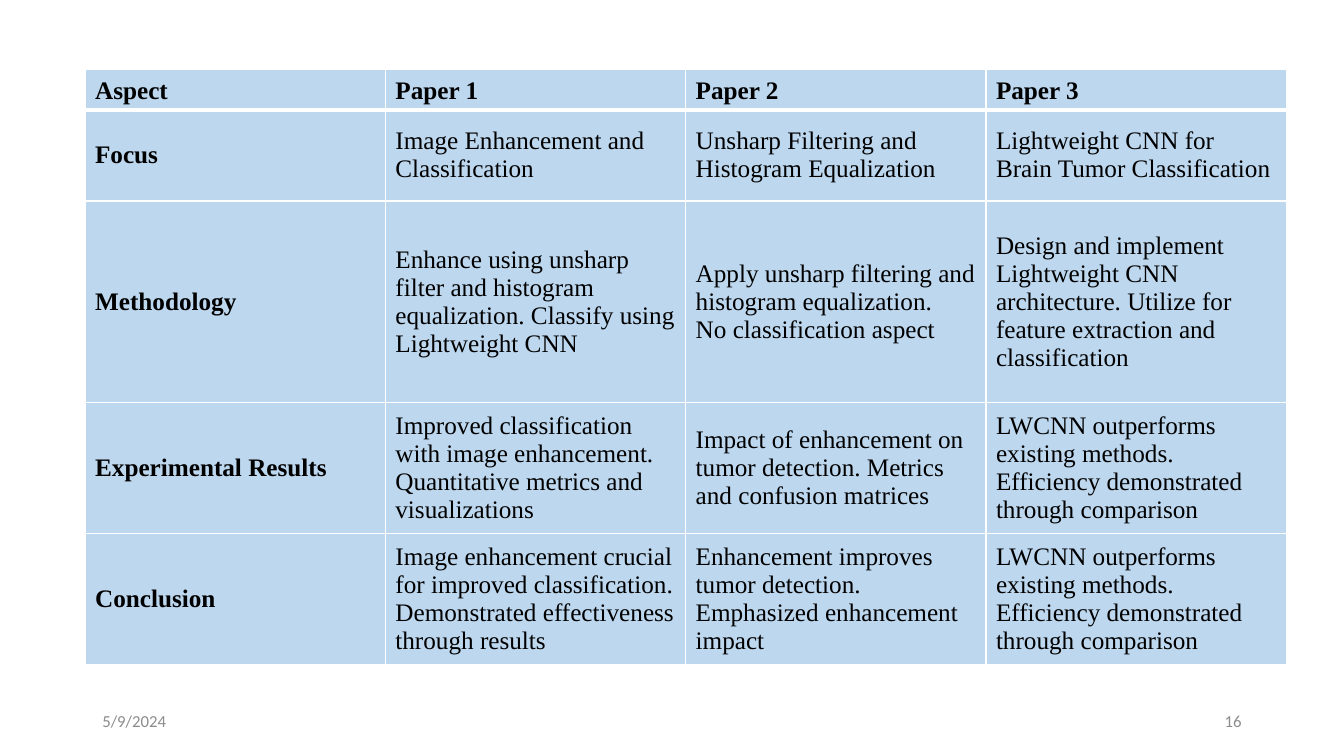
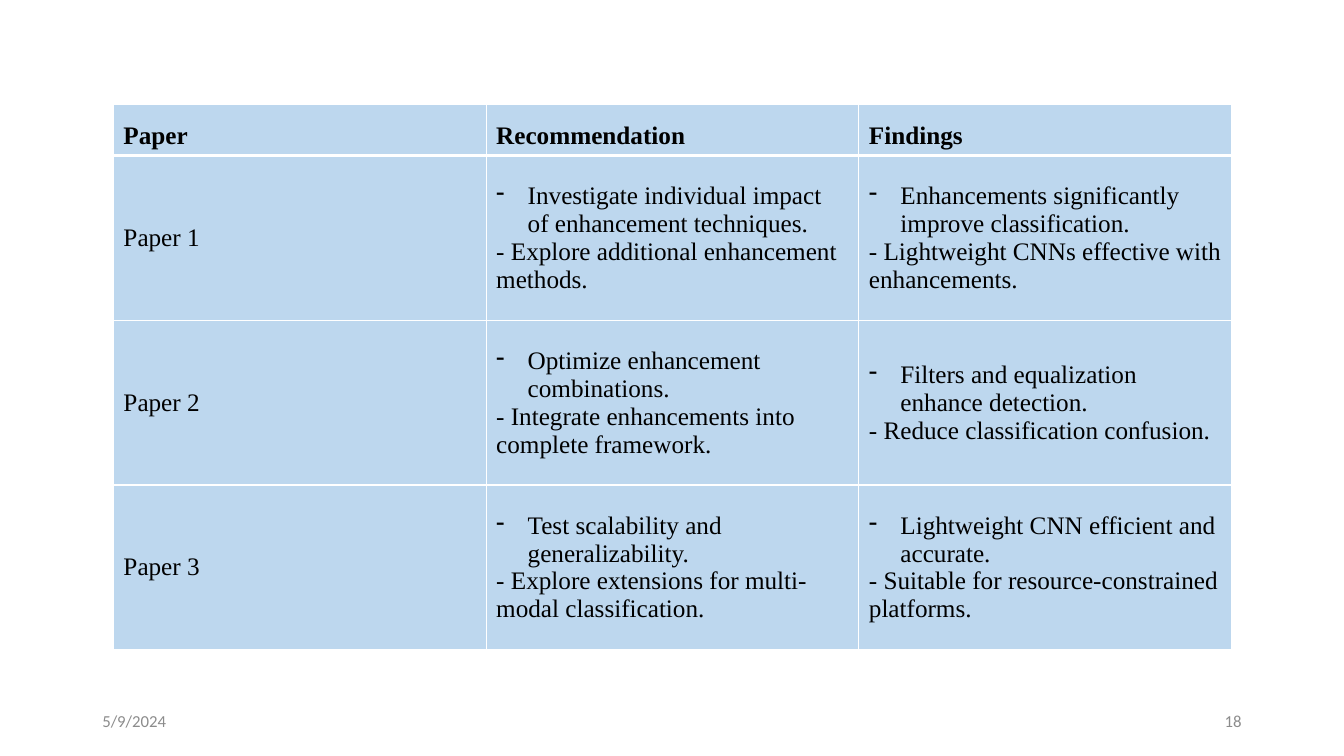
from lxml.etree import SubElement
from pptx import Presentation
from pptx.dml.color import RGBColor
from pptx.enum.text import MSO_ANCHOR as Anchor, PP_ALIGN as Align
from pptx.oxml.ns import qn
from pptx.util import Emu, Pt

WHITE = RGBColor(0xFF, 0xFF, 0xFF)
BLACK = RGBColor(0x00, 0x00, 0x00)
PALE_BLUE = RGBColor(0xBD, 0xD7, 0xEE)
GREY = RGBColor(0x8C, 0x8C, 0x8C)
TABLE_FONT = "Times New Roman"
FOOTER_FONT = "Calibri"
THIN, THICK = Pt(1), Pt(3)
DASH_INDENT = 30

COMPARISON = [
    ["Aspect", "Paper 1", "Paper 2", "Paper 3"],
    ["Focus",
     "Image Enhancement and Classification",
     "Unsharp Filtering and Histogram Equalization",
     "Lightweight CNN for Brain Tumor Classification"],
    ["Methodology",
     "Enhance using unsharp filter and histogram equalization. Classify using Lightweight CNN",
     "Apply unsharp filtering and histogram equalization.\nNo classification aspect",
     "Design and implement Lightweight CNN architecture. Utilize for feature extraction and classification"],
    ["Experimental Results",
     "Improved classification with image enhancement. Quantitative metrics and visualizations",
     "Impact of enhancement on tumor detection. Metrics and confusion matrices",
     "LWCNN outperforms existing methods. Efficiency demonstrated through comparison"],
    ["Conclusion",
     "Image enhancement crucial for improved classification.\nDemonstrated effectiveness through results",
     "Enhancement improves tumor detection. Emphasized enhancement impact",
     "LWCNN outperforms existing methods. Efficiency demonstrated through comparison"],
]

RECOMMENDATIONS = [
    ["Paper", "Recommendation", "Findings"],
    ["Paper 1",
     "Investigate individual impact of enhancement techniques.\n- Explore additional enhancement methods.",
     "Enhancements significantly improve classification.\n- Lightweight CNNs effective with enhancements."],
    ["Paper 2",
     "Optimize enhancement combinations.\n- Integrate enhancements into complete framework.",
     "Filters and equalization enhance detection.\n- Reduce classification confusion."],
    ["Paper 3",
     "Test scalability and generalizability.\n- Explore extensions for multi-modal classification.",
     "Lightweight CNN efficient and accurate.\n- Suitable for resource-constrained platforms."],
]


def px(length):
    return Emu(length * 9525)


def add_run(paragraph, text, font_name, size, color, bold=False):
    run = paragraph.add_run()
    run.text = text
    run.font.name = font_name
    run.font.size = Pt(size)
    run.font.bold = bold
    run.font.color.rgb = color


def add_dash(paragraph):
    properties = paragraph._p.get_or_add_pPr()
    properties.set("marL", str(px(DASH_INDENT)))
    properties.set("indent", str(-px(DASH_INDENT)))
    SubElement(properties, qn("a:buFontTx"))
    SubElement(properties, qn("a:buChar"), char="-")


def add_borders(cell, top, bottom):
    properties = cell._tc.get_or_add_tcPr()
    for side, width in (("L", THIN), ("R", THIN), ("T", top), ("B", bottom)):
        border = SubElement(properties, qn(f"a:ln{side}"), w=str(width))
        fill = SubElement(border, qn("a:solidFill"))
        SubElement(fill, qn("a:srgbClr"), val=str(WHITE))


def fill_cell(cell, text, row, bold, dashed):
    add_borders(cell, THICK if row == 1 else THIN, THICK if row == 0 else THIN)
    cell.fill.solid()
    cell.fill.fore_color.rgb = PALE_BLUE
    cell.vertical_anchor = Anchor.MIDDLE if row else Anchor.BOTTOM
    for index, line in enumerate(text.split("\n")):
        frame = cell.text_frame
        paragraph = frame.add_paragraph() if index else frame.paragraphs[0]
        if dashed and index == 0:
            add_dash(paragraph)
        add_run(paragraph, line, TABLE_FONT, 18, BLACK, bold)


def add_paper_table(slide, box, content, row_heights, bold_labels=False, dashed=False):
    left, top, width = box
    table = slide.shapes.add_table(
        len(content), len(content[0]), px(left), px(top), px(width), px(sum(row_heights))).table
    table.horz_banding = False
    for column in table.columns:
        column.width = px(width // len(content[0]))
    for row, (texts, height) in enumerate(zip(content, row_heights)):
        table.rows[row].height = px(height)
        for column, text in enumerate(texts):
            bold = row == 0 or (bold_labels and column == 0)
            fill_cell(table.cell(row, column), text, row, bold,
                      dashed and row > 0 and column > 0)


def add_footer(slide, box, number):
    left, top, width, height = box
    part_width = 288
    for offset, text, align in ((0, "5/9/2024", Align.LEFT),
                                (width - part_width, number, Align.RIGHT)):
        frame = slide.shapes.add_textbox(
            px(left + offset), px(top), px(part_width), px(height)).text_frame
        frame.word_wrap = True
        frame.vertical_anchor = Anchor.MIDDLE
        frame.paragraphs[0].alignment = align
        add_run(frame.paragraphs[0], text, FOOTER_FONT, 12, GREY)


def add_slide(deck, number):
    slide = deck.slides.add_slide(deck.slide_layouts[6])
    add_footer(slide, (88, 667, 1104, 38), number)
    return slide


def main():
    deck = Presentation()
    deck.slide_width, deck.slide_height = px(1280), px(720)
    add_paper_table(add_slide(deck, "16"), (81, 66, 1144), COMPARISON,
                    [35, 87, 192, 116, 116], bold_labels=True)
    add_paper_table(add_slide(deck, "18"), (108, 99, 1065), RECOMMENDATIONS,
                    [49, 157, 157, 157], dashed=True)
    deck.save("out.pptx")


if __name__ == "__main__":
    main()
